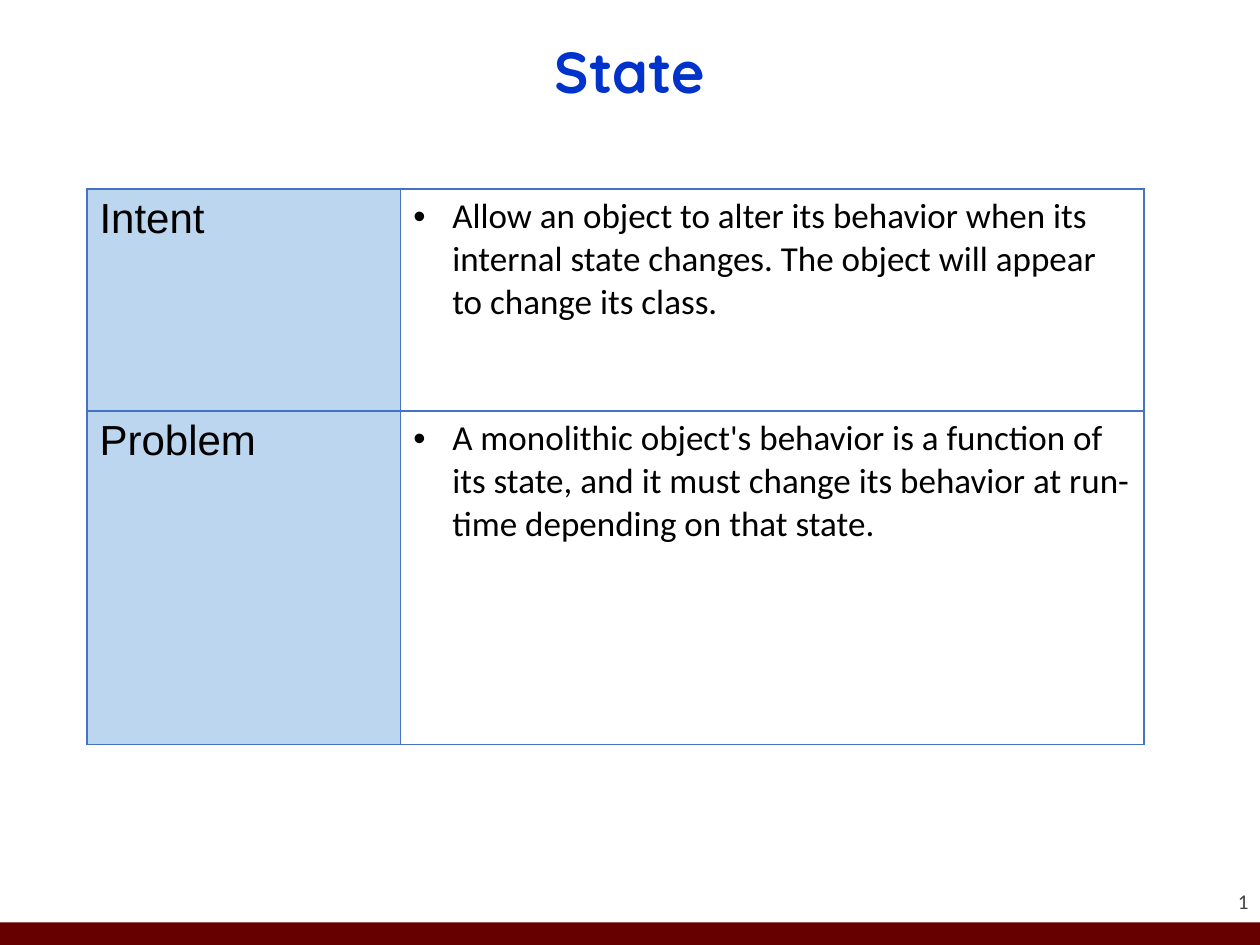
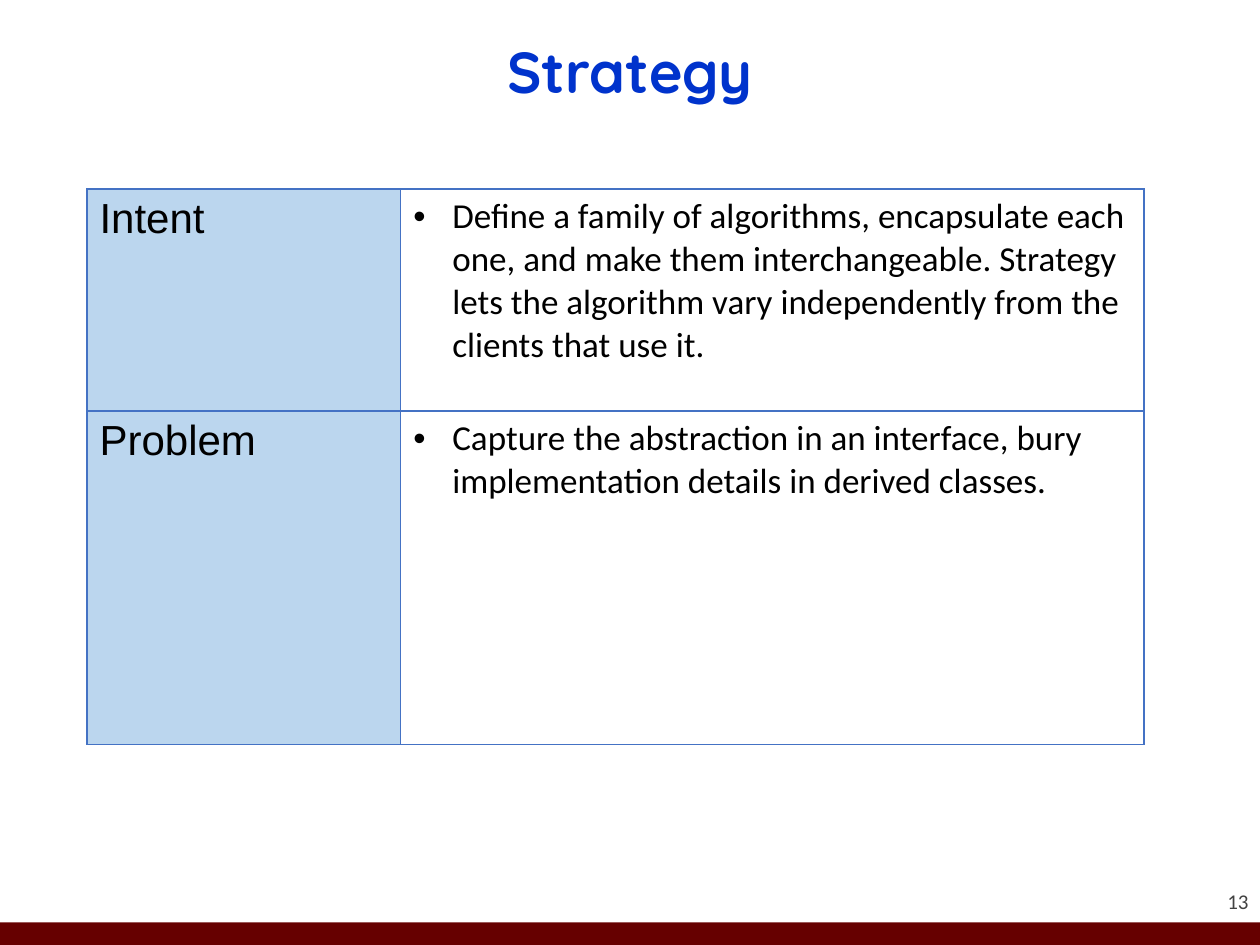
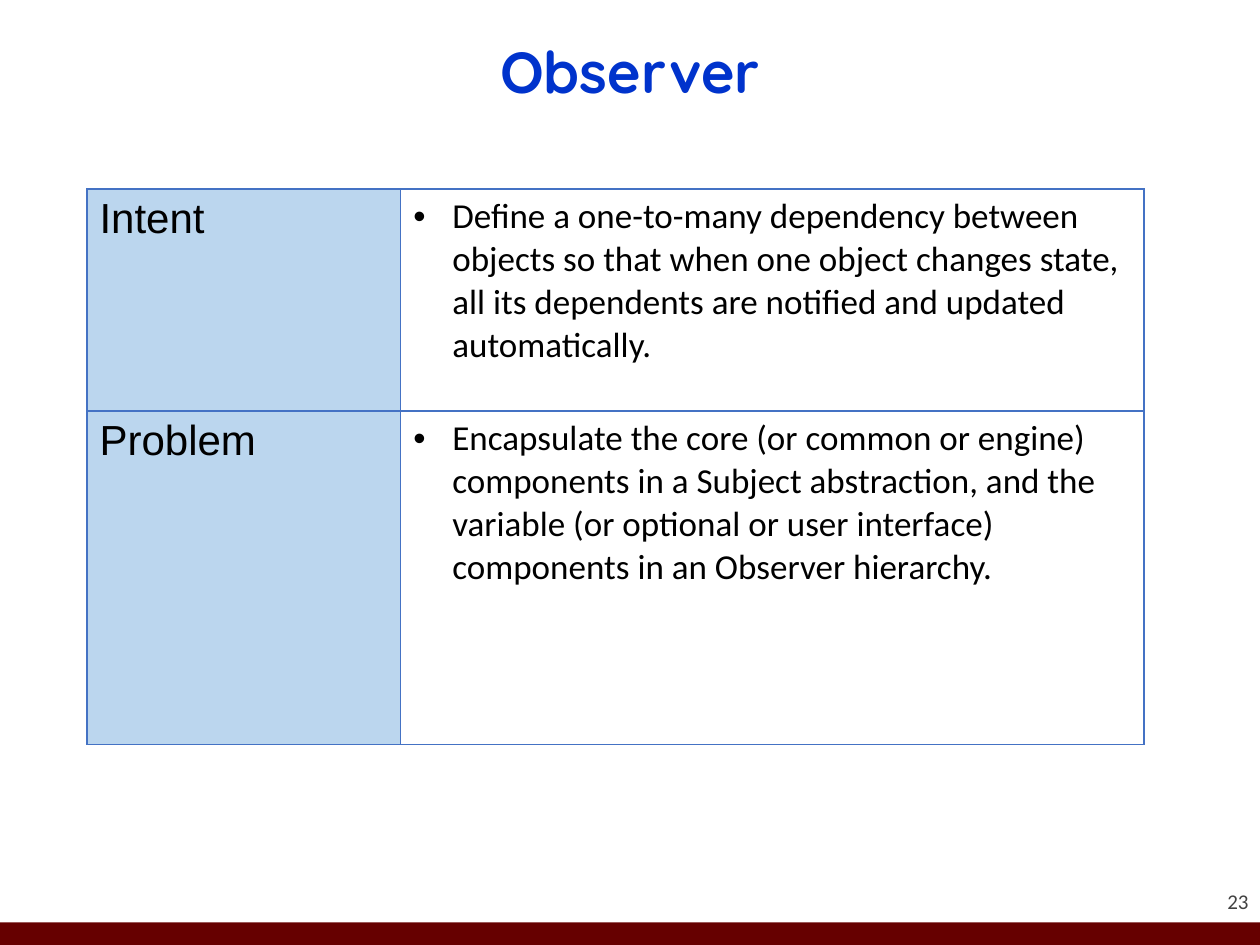
from dataclasses import dataclass

from lxml.etree import SubElement as Sub
from pptx import Presentation
from pptx.dml.color import RGBColor as Rgb
from pptx.enum.shapes import MSO_SHAPE as Shape
from pptx.enum.text import MSO_ANCHOR as Anchor, MSO_AUTO_SIZE as Auto, PP_ALIGN as Align
from pptx.oxml.ns import qn
from pptx.util import Inches, Pt


@dataclass(frozen=True)
class Theme:
    wide: float = 10
    high: float = 7.5
    grid: int = 100
    paper: str = "FFFFFF"
    ink: str = "000000"
    blue: str = "0033CC"
    tint: str = "BBD6EE"
    rule: str = "4472C4"
    band: str = "660000"
    grey: str = "424242"
    head: tuple = ("Quicksand", 33, True)
    label: tuple = ("Arial", 24, False)
    body: tuple = ("Calibri", 20, False)
    foot: tuple = ("Calibri", 12, False)


THEME = Theme()
LABELS = ("Intent", "Problem")
TOPICS = (
    ("State", 1, (
        "Allow an object to alter its behavior when its internal state changes. "
        "The object will appear to change its class.",
        "A monolithic object's behavior is a function of its state, and it must "
        "change its behavior at run-time depending on that state.")),
    ("Strategy", 13, (
        "Define a family of algorithms, encapsulate each one, and make them "
        "interchangeable. Strategy lets the algorithm vary independently from "
        "the clients that use it.",
        "Capture the abstraction in an interface, bury implementation details "
        "in derived classes.")),
    ("Observer", 23, (
        "Define a one-to-many dependency between objects so that when one object "
        "changes state, all its dependents are notified and updated automatically.",
        "Encapsulate the core (or common or engine) components in a Subject "
        "abstraction, and the variable (or optional or user interface) "
        "components in an Observer hierarchy.")),
)


def col(count):
    return Inches(THEME.wide * count / THEME.grid)


def row(count):
    return Inches(THEME.high * count / THEME.grid)


def box(left, top, width, height):
    return col(left), row(top), col(width), row(height)


def put(item, values):
    for name, value in values.items():
        setattr(item, name, value)


def paint(fill, tone):
    fill.solid()
    fill.fore_color.rgb = Rgb.from_string(tone)


def style(para, face, tone):
    name, size, bold = face
    put(para.font, {"name": name, "size": Pt(size), "bold": bold})
    para.font.color.rgb = Rgb.from_string(tone)


def write(frame, text, face, tone, form, layout):
    put(frame, {"word_wrap": True, "auto_size": Auto.NONE, **form})
    para = frame.paragraphs[0]
    para.text = text
    put(para, layout)
    style(para, face, tone)


def add_head(slide, text):
    title = slide.shapes.title
    put(title, dict(zip(("left", "top", "width", "height"), box(6.9, 1.6, 86.2, 12.53))))
    write(title.text_frame, text, THEME.head, THEME.blue,
          {"vertical_anchor": Anchor.MIDDLE},
          {"alignment": Align.CENTER, "line_spacing": 0.9})


def add_foot(slide, number):
    band = slide.shapes.add_shape(Shape.RECTANGLE, *box(0, 97.6, 100, 2.4))
    band.shadow.inherit = False
    paint(band.fill, THEME.band)
    band.line.fill.background()
    note = slide.shapes.add_textbox(*box(90.8, 91.33, 8.3, 5.33))
    sides = ("left", "top", "right", "bottom")
    form = {f"margin_{side}": 0 for side in sides}
    write(note.text_frame, str(number), THEME.foot, THEME.grey,
          {"vertical_anchor": Anchor.BOTTOM, **form}, {"alignment": Align.RIGHT})


def add_tone(parent, tone):
    Sub(parent, qn("a:srgbClr"), val=tone)


def frame_cell(cell):
    props = cell._tc.get_or_add_tcPr()
    for side in "LRTB":
        line = Sub(props, qn(f"a:ln{side}"), w=str(Pt(1)))
        add_tone(Sub(line, qn("a:solidFill")), THEME.rule)


def add_dot(para):
    props = para._p.get_or_add_pPr()
    inset = col(3.1)
    props.set("marL", str(inset))
    props.set("indent", str(-inset))
    add_tone(Sub(props, qn("a:buClr")), THEME.ink)
    Sub(props, qn("a:buFont"), typeface="Arial")
    Sub(props, qn("a:buChar"), char="•")


def fill_cell(cell, text, face, tone, dot):
    frame_cell(cell)
    paint(cell.fill, tone)
    cell.text = text
    para = cell.text_frame.paragraphs[0]
    if dot:
        add_dot(para)
    style(para, face, THEME.ink)


def add_grid(slide, texts):
    widths, heights = (24.9, 59), (23.47, 35.33)
    area = box(6.9, 20, sum(widths), sum(heights))
    table = slide.shapes.add_table(len(heights), len(widths), *area).table
    put(table, {"first_row": False, "horz_banding": False})
    for column, width in zip(table.columns, widths):
        column.width = col(width)
    for line, height in zip(table.rows, heights):
        line.height = row(height)
    for index, (label, text) in enumerate(zip(LABELS, texts)):
        fill_cell(table.cell(index, 0), label, THEME.label, THEME.tint, False)
        fill_cell(table.cell(index, 1), text, THEME.body, THEME.paper, True)


def main():
    deck = Presentation()
    put(deck, {"slide_width": col(100), "slide_height": row(100)})
    for name, number, texts in TOPICS:
        slide = deck.slides.add_slide(deck.slide_layouts.get_by_name("Title Only"))
        paint(slide.background.fill, THEME.paper)
        add_foot(slide, number)
        add_head(slide, name)
        add_grid(slide, texts)
    deck.save("out.pptx")


if __name__ == "__main__":
    main()
